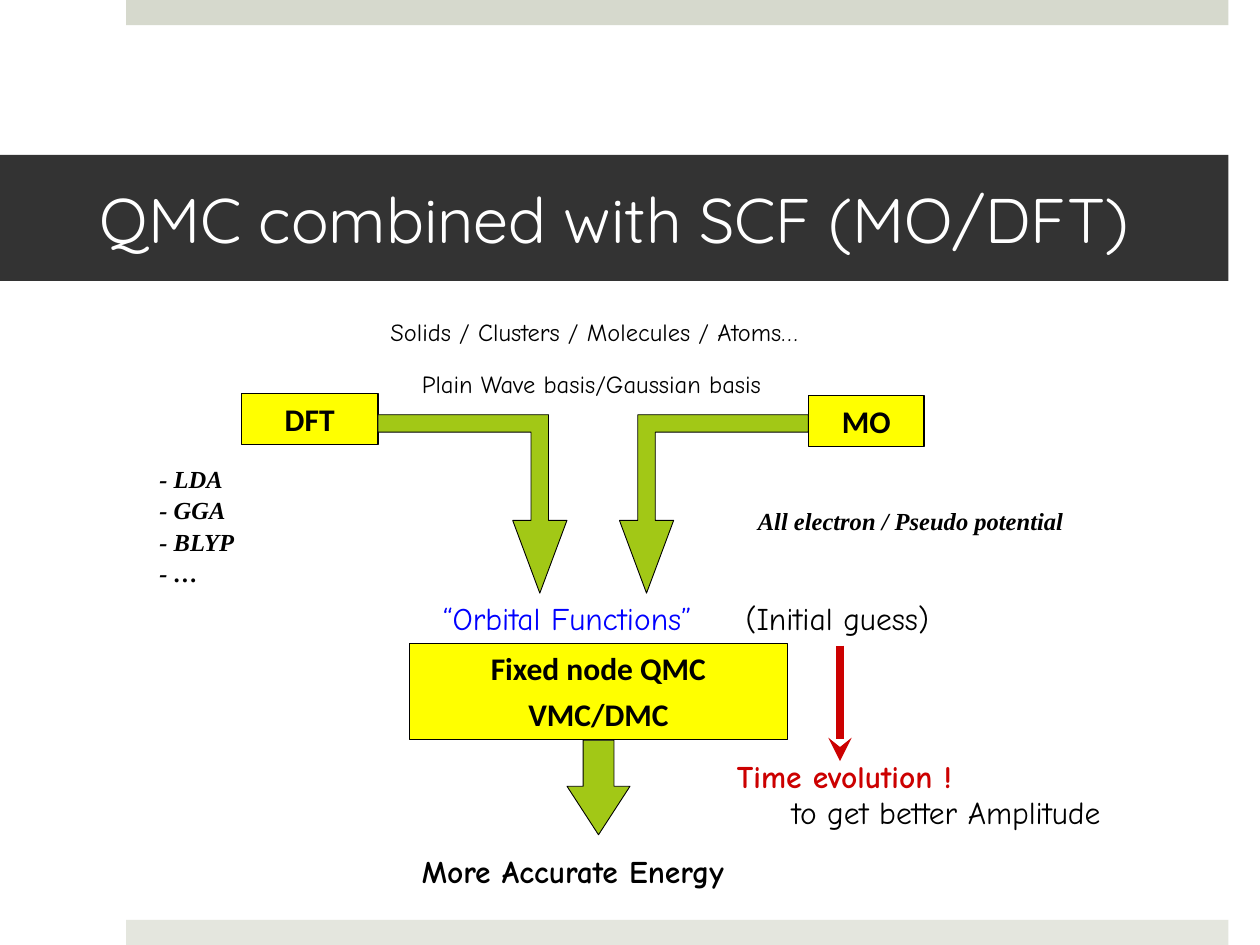
from lxml.etree import SubElement
from pptx import Presentation
from pptx.dml.color import RGBColor
from pptx.enum.shapes import MSO_CONNECTOR as Connector, MSO_SHAPE as Shape
from pptx.enum.text import MSO_ANCHOR as Anchor, MSO_AUTO_SIZE as AutoSize, PP_ALIGN as Align
from pptx.oxml.ns import qn
from pptx.util import Pt

BLACK = RGBColor(0x00, 0x00, 0x00)
WHITE = RGBColor(0xFF, 0xFF, 0xFF)
CHARCOAL = RGBColor(0x33, 0x33, 0x33)
SAGE = RGBColor(0xD6, 0xD9, 0xCD)
PALE_SAGE = RGBColor(0xE4, 0xE6, 0xDE)
YELLOW = RGBColor(0xFF, 0xFF, 0x00)
GREEN = RGBColor(0xA2, 0xC8, 0x16)
BLUE = RGBColor(0x00, 0x00, 0xFF)
RED = RGBColor(0xCC, 0x00, 0x00)

TITLE = {"name": "Quicksand", "size": Pt(36)}
STEP = {"name": "Calibri", "size": Pt(18), "bold": True}
NOTE = {"name": "Comic Neue", "size": Pt(14)}
LABEL = {"name": "Comic Neue", "size": Pt(18)}
STRONG = {**LABEL, "bold": True}
METHOD = {"name": "Times New Roman", "size": Pt(14), "bold": True, "italic": True}


def paint(shape, fill, line_width=0):
    shape.shadow.inherit = False
    shape.fill.solid()
    shape.fill.fore_color.rgb = fill
    if line_width:
        shape.line.color.rgb = BLACK
        shape.line.width = Pt(line_width)
    else:
        shape.line.fill.background()


def write(shape, lines, style, color, align=Align.LEFT, anchor=Anchor.TOP, grow=True):
    frame = shape.text_frame
    frame.word_wrap = True
    frame.vertical_anchor = anchor
    frame.auto_size = AutoSize.SHAPE_TO_FIT_TEXT if grow else AutoSize.NONE
    for index, line in enumerate(lines):
        para = frame.add_paragraph() if index else frame.paragraphs[0]
        para.alignment = align
        para.space_before = Pt(style["size"].pt / 4 if grow else 0)
        span = para.add_run()
        span.text = line
        span.font.color.rgb = color
        for name, value in style.items():
            setattr(span.font, name, value)


deck = Presentation()
deck.slide_width, deck.slide_height = Pt(720), Pt(540)
page = deck.slides.add_slide(deck.slide_layouts[6])
shapes = page.shapes

for top, color in [(0, SAGE), (525.6, PALE_SAGE)]:
    band = shapes.add_shape(Shape.RECTANGLE, Pt(72), Pt(top), Pt(630), Pt(14.4))
    paint(band, color)

title = shapes.add_shape(Shape.RECTANGLE, Pt(0), Pt(88.56), Pt(702), Pt(72))
paint(title, CHARCOAL)
write(title, ["QMC combined with SCF (MO/DFT)"], TITLE, WHITE, anchor=Anchor.MIDDLE, grow=False)
title.text_frame.margin_left = Pt(56.88)
title.text_frame.margin_right = Pt(21.6)

steps = [
    (234, 367.5, 216, 55.2, ["Fixed node QMC", "VMC/DMC"]),
    (138, 225, 78, 29, ["DFT"]),
    (462, 226, 66, 29, ["MO"]),
]
for left, top, width, height, lines in steps:
    box = shapes.add_shape(Shape.RECTANGLE, Pt(left), Pt(top), Pt(width), Pt(height))
    paint(box, YELLOW, 0.75)
    write(box, lines, STEP, BLACK, Align.CENTER)

texts = [
    (216, 177.4, 306, "Solids / Clusters / Molecules / Atoms…", NOTE, BLACK),
    (234, 207.4, 222, "Plain Wave basis/Gaussian basis", NOTE, BLACK),
    (426, 285.4, 198, "All electron / Pseudo potential", METHOD, BLACK),
    (246, 339, 192, "“Orbital Functions”", LABEL, BLUE),
    (419, 339, 162, "(Initial guess)", LABEL, BLACK),
    (414, 429, 162, "Time evolution !", STRONG, RED),
    (445.5, 449.4, 252, "to get better Amplitude", LABEL, BLACK),
    (234, 483.4, 216, "More Accurate Energy", STRONG, BLACK),
]
for index, method in enumerate(["LDA", "GGA", "BLYP", "…"]):
    texts.append((84, 261.4 + 18 * index, 90, f"- {method}", METHOD, BLACK))
for left, top, width, line, style, color in texts:
    height = 24.5 if style["size"] == Pt(14) else 28.8
    box = shapes.add_textbox(Pt(left), Pt(top), Pt(width), Pt(height))
    write(box, [line], style, color)

elbow = [(92.5, 339), (77, 297.4), (87.5, 297.4), (87.5, 247), (0, 247),
         (0, 237), (97.5, 237), (97.5, 297.4), (108, 297.4)]
for edge, direction in [(216, 1), (462, -1)]:
    points = [(Pt(edge + direction * x), Pt(y)) for x, y in elbow]
    outline = shapes.build_freeform(*points[0])
    outline.add_line_segments(points[1:], close=True)
    paint(outline.convert_to_shape(), GREEN, 0.5)

result_arrow = shapes.add_shape(Shape.RIGHT_ARROW, Pt(315), Pt(432), Pt(54), Pt(36))
result_arrow.rotation = 90
result_arrow.adjustments[0] = 0.49
result_arrow.adjustments[1] = 0.77
paint(result_arrow, GREEN, 0.5)

time_arrow = shapes.add_connector(Connector.STRAIGHT, Pt(480), Pt(369), Pt(480), Pt(435))
time_arrow.line.color.rgb = RED
time_arrow.line.width = Pt(4.5)
SubElement(time_arrow.line._get_or_add_ln(), qn("a:tailEnd"), type="stealth")
SubElement(time_arrow._element.spPr, qn("a:effectLst"))

deck.save("out.pptx")
